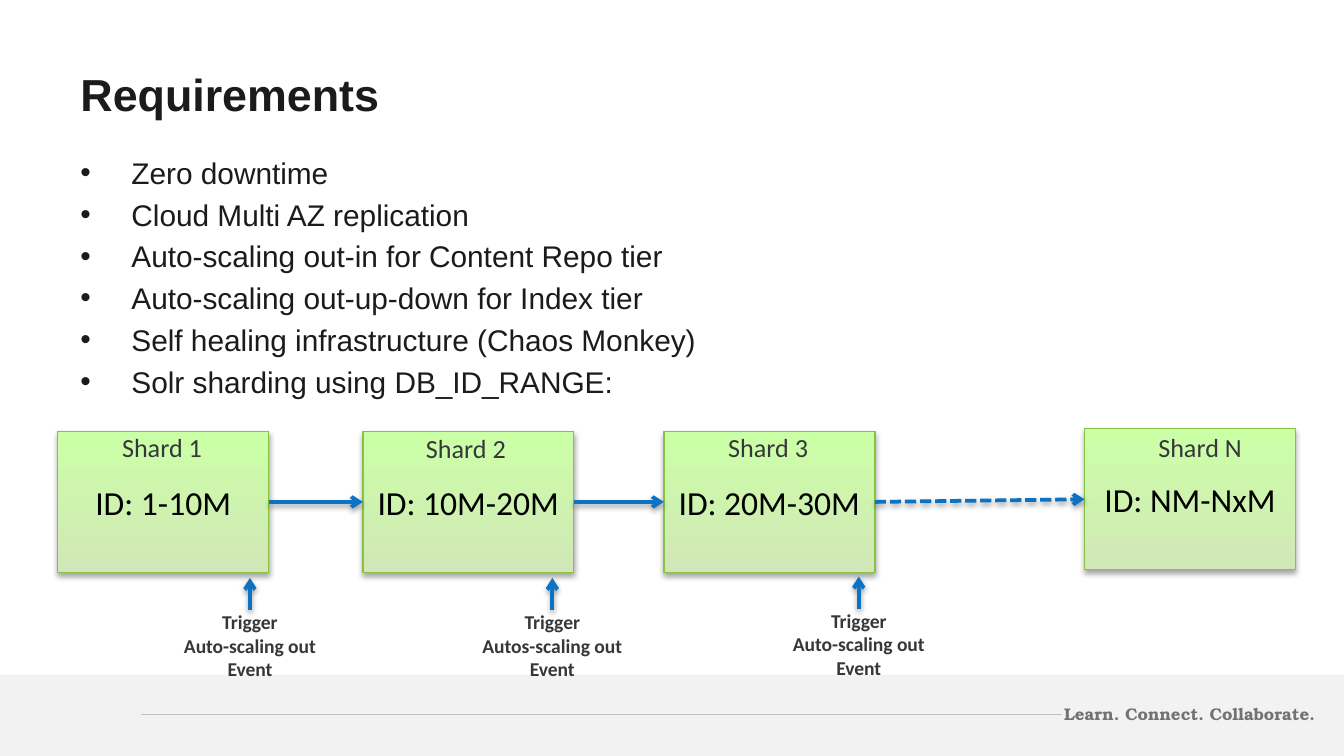
from lxml import etree
from pptx import Presentation
from pptx.dml.color import RGBColor
from pptx.enum.dml import MSO_LINE
from pptx.enum.shapes import MSO_CONNECTOR, MSO_SHAPE
from pptx.enum.text import MSO_ANCHOR, PP_ALIGN
from pptx.oxml import parse_xml
from pptx.oxml.ns import nsdecls, qn
from pptx.util import Inches, Pt

DARK, GREY, BLUE = "1B1B1D", "36373A", "0B72C4"
BOX_W, BOX_H = 1.57, 1.05

REQUIREMENTS = [
    "Zero downtime",
    "Cloud Multi AZ replication",
    "Auto-scaling out-in for Content Repo tier",
    "Auto-scaling out-up-down for Index tier",
    "Self healing infrastructure (Chaos Monkey)",
    "Solr sharding using DB_ID_RANGE:",
]
SHARDS = [
    ("Shard 1", "ID: 1-10M", 0.43, 3.21, 0.81, 3.16, 0.8),
    ("Shard 2", "ID: 10M-20M", 2.7, 3.21, 3.07, 3.17, 0.8),
    ("Shard 3", "ID: 20M-30M", 4.94, 3.21, 5.32, 3.16, 0.8),
    ("Shard N", "ID: NM-NxM", 8.07, 3.19, 8.52, 3.16, 0.83),
]
TRIGGERS = [
    ("Auto-scaling out", 1.86, 4.3, 1.25),
    ("Autos-scaling out", 4.11, 4.3, 1.3),
    ("Auto-scaling out", 6.39, 4.29, 1.25),
]


def rgb(color):
    return RGBColor.from_string(color)


def add_shadow(sp, alpha, distance):
    sp._element.spPr.append(parse_xml(
        f'<a:effectLst {nsdecls("a")}>'
        f'<a:outerShdw blurRad="{Pt(3.1)}" dist="{Pt(distance)}" dir="5400000" rotWithShape="0">'
        f'<a:srgbClr val="000000"><a:alpha val="{alpha * 1000}"/></a:srgbClr>'
        '</a:outerShdw></a:effectLst>'))


def format_text(p, size, color, font="Calibri", bold=False, align=PP_ALIGN.LEFT):
    p.alignment = align
    for r in p.runs:
        r.font.size = Pt(size)
        r.font.name = font
        r.font.bold = bold
        r.font.color.rgb = rgb(color)


def add_text(s, lines, x, y, w, h, size, color, wrap=False, anchor=MSO_ANCHOR.TOP, **style):
    tf = s.shapes.add_textbox(Inches(x), Inches(y), Inches(w), Inches(h)).text_frame
    tf.word_wrap = wrap
    tf.vertical_anchor = anchor
    tf.text = "\n".join(lines)
    for p in tf.paragraphs:
        format_text(p, size, color, **style)
    return tf


def add_bullets(tf):
    for i, p in enumerate(tf.paragraphs):
        if i:
            p.space_before = Pt(3.2)
        pPr = p._p.get_or_add_pPr()
        pPr.set("marL", str(Inches(0.38)))
        pPr.set("indent", str(-Inches(0.38)))
        etree.SubElement(pPr, qn("a:buFont")).set("typeface", "Arial")
        etree.SubElement(pPr, qn("a:buChar")).set("char", "•")


def add_line(s, x1, y1, x2, y2, color, width):
    line = s.shapes.add_connector(
        MSO_CONNECTOR.STRAIGHT, Inches(x1), Inches(y1), Inches(x2), Inches(y2))
    line.line.color.rgb = rgb(color)
    line.line.width = Pt(width)
    return line


def add_arrow(s, x1, y1, x2, y2, dashed=False):
    arrow = add_line(s, x1, y1, x2, y2, BLUE, 2)
    if dashed:
        arrow.line.dash_style = MSO_LINE.SQUARE_DOT
    etree.SubElement(arrow.line._get_or_add_ln(), qn("a:tailEnd")).set("type", "arrow")
    add_shadow(arrow, 38, 1.6)
    return arrow


def add_shard(s, name, ids, x, y, name_x, name_y, name_w):
    sp = s.shapes.add_shape(
        MSO_SHAPE.RECTANGLE, Inches(x), Inches(y), Inches(BOX_W), Inches(BOX_H))
    sp.fill.gradient()
    sp.fill.gradient_angle = 90
    for stop, color, position in zip(sp.fill.gradient_stops, ("D1E7B7", "CBFFA6"), (0, 1)):
        stop.color.rgb = rgb(color)
        stop.position = position
    sp.line.color.rgb = rgb("88C245")
    sp.line.width = Pt(0.75)
    add_shadow(sp, 35, 1.8)
    tf = sp.text_frame
    tf.text = ids
    tf.word_wrap = True
    tf.vertical_anchor = MSO_ANCHOR.MIDDLE
    format_text(tf.paragraphs[0], 18, "000000", align=PP_ALIGN.CENTER)
    add_text(s, [name], name_x, name_y, name_w, 0.34, 14, GREY)
    return sp


def join_shards(s, left, right, dashed):
    arrow = add_arrow(s, 0, 0, 1, 0, dashed)
    arrow.begin_connect(left, 3)
    arrow.end_connect(right, 1)


def add_trigger(s, action, x, y, w):
    add_arrow(s, x, y + 0.24, x, y)
    add_text(s, ["Trigger", action, "Event"], x - w / 2, y + 0.19, w, 0.63, 10.5, GREY,
             bold=True, align=PP_ALIGN.CENTER)


def add_footer(s):
    band = s.shapes.add_shape(
        MSO_SHAPE.RECTANGLE, 0, Inches(5.02), Inches(10), Inches(0.61))
    band.shadow.inherit = False
    band.fill.solid()
    band.fill.fore_color.rgb = rgb("F2F2F2")
    band.line.fill.background()
    add_text(s, ["Learn. Connect. Collaborate."], 7.69, 5.19, 2.19, 0.25, 9, "727174",
             font="TeX Gyre Bonum", bold=True, align=PP_ALIGN.RIGHT)
    rule = add_line(s, 1.05, 5.32, 7.9, 5.32, "BFBFBF", 0.5)
    etree.SubElement(rule._element.spPr, qn("a:effectLst"))


def main():
    prs = Presentation()
    prs.slide_width = Inches(10)
    prs.slide_height = prs.slide_width * 9 // 16
    s = prs.slides.add_slide(prs.slide_layouts[6])
    add_footer(s)
    add_text(s, ["Requirements"], 0.5, 0.23, 8.85, 0.94, 24, DARK, wrap=True,
             anchor=MSO_ANCHOR.MIDDLE, font="Arial", bold=True)
    add_bullets(add_text(s, REQUIREMENTS, 0.5, 1.1, 8.85, 3.71, 16, DARK, wrap=True, font="Arial"))
    boxes = [add_shard(s, *shard) for shard in SHARDS]
    for left, right in zip(boxes, boxes[1:]):
        join_shards(s, left, right, dashed=right is boxes[-1])
    for trigger in TRIGGERS:
        add_trigger(s, *trigger)
    prs.save("out.pptx")


if __name__ == "__main__":
    main()
